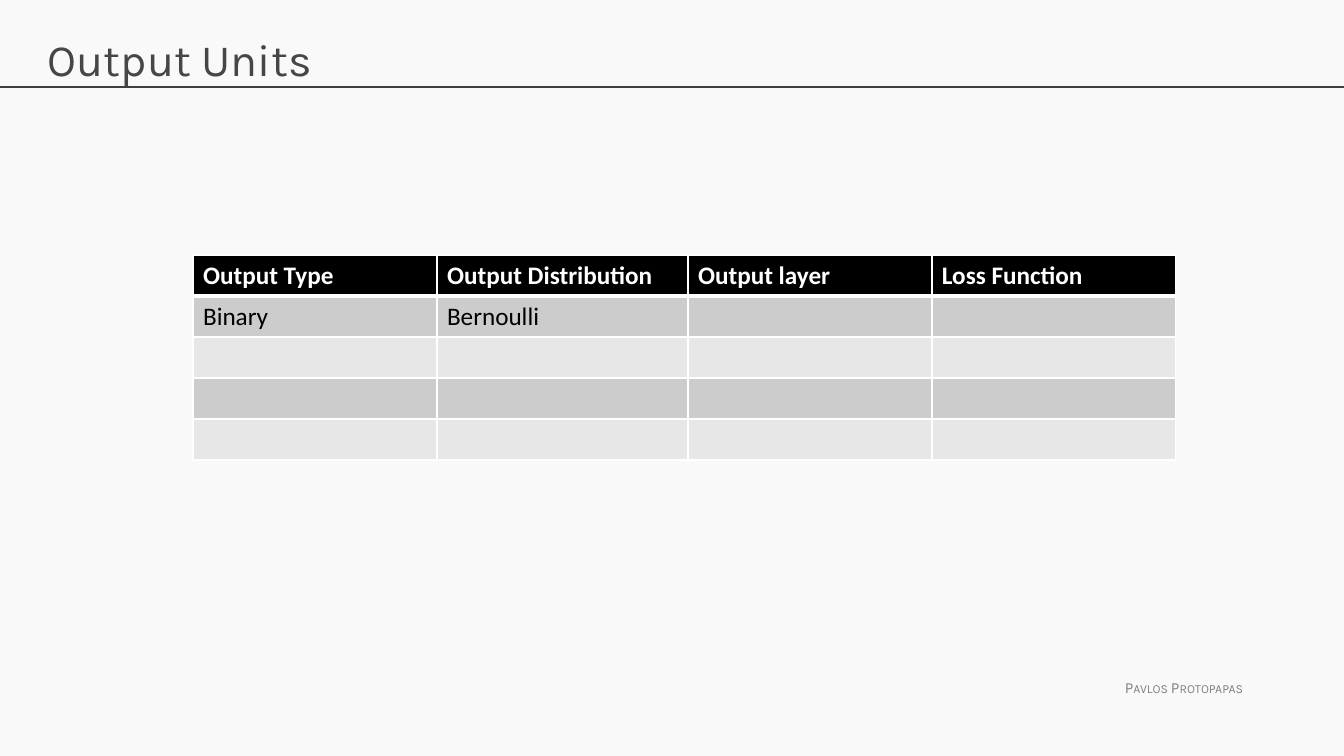
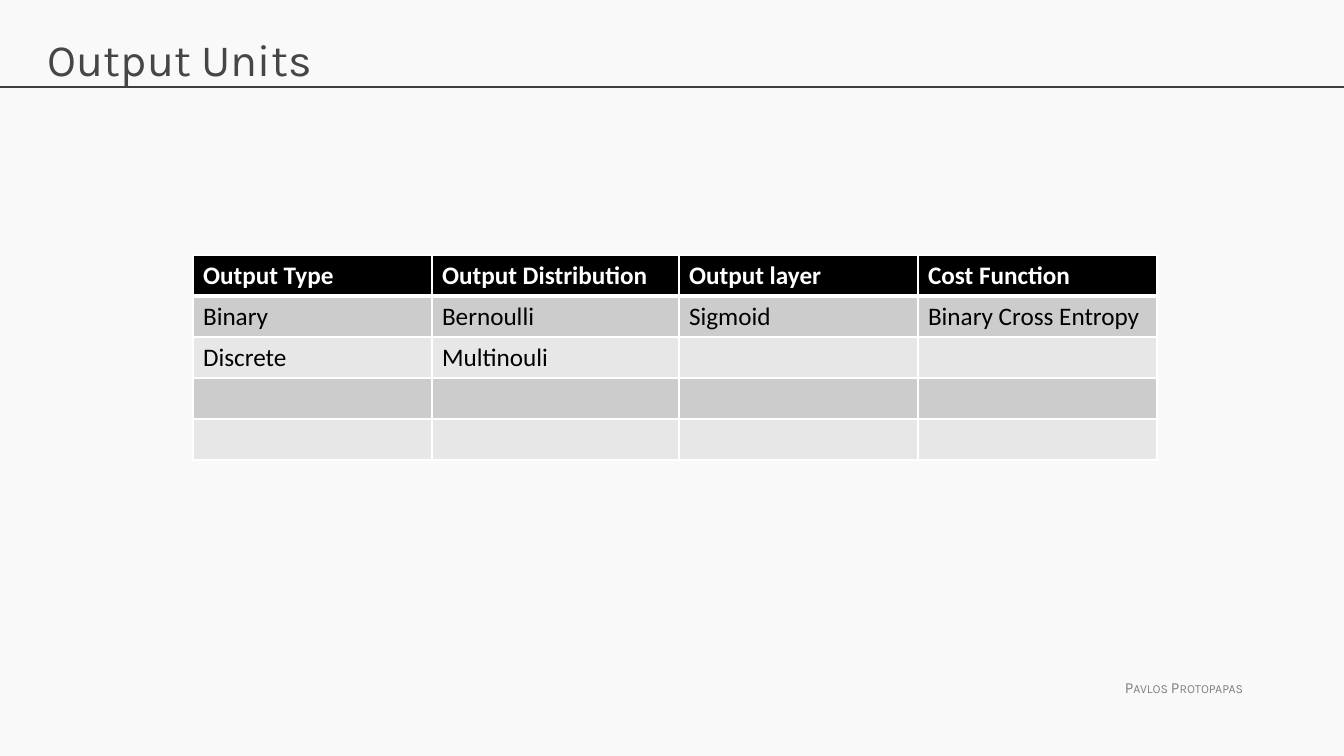
"""Build two slides on output units, each with a table of output types."""
import dataclasses

import lxml.etree
import pptx
import pptx.dml.color
import pptx.enum.shapes
import pptx.enum.text
import pptx.oxml.ns
import pptx.util


@dataclasses.dataclass(frozen=True)
class Theme:
    background: str = "F9F9F9"
    rule: str = "404040"
    title: str = "464646"
    footer: str = "808080"
    header_fill: str = "000000"
    band_fills: tuple = ("E7E7E7", "CCCCCC")
    header_text: str = "FFFFFF"
    cell_text: str = "000000"
    border: str = "FFFFFF"
    heading_font: str = "Karla"
    table_font: str = "Calibri"
    title_size: int = 32
    table_size: int = 18
    footer_size: int = 11


THEME = Theme()
EMU_PER_PX = 914400 / 100.8
SLIDE_WIDTH, SLIDE_HEIGHT = 1344, 756
RULE_Y = 87
TABLE_LEFT, TABLE_TOP = 193, 255
ROW_HEIGHT, ROW_COUNT = 41, 5

TABLES = [
    ((244, 251, 244, 244), [
        ("Output Type", "Output Distribution", "Output layer", "Loss Function"),
        ("Binary", "Bernoulli"),
    ]),
    ((239, 247, 239, 239), [
        ("Output Type", "Output Distribution", "Output layer", "Cost Function"),
        ("Binary", "Bernoulli", "Sigmoid", "Binary Cross Entropy"),
        ("Discrete", "Multinouli"),
    ]),
]


def px(*lengths):
    return [pptx.util.Emu(round(length * EMU_PER_PX)) for length in lengths]


def style(para, name, size, color, bold=False):
    para.font.name = name
    para.font.size = pptx.util.Pt(size)
    para.font.bold = bold
    para.font.color.rgb = pptx.dml.color.RGBColor.from_string(color)


qn = pptx.oxml.ns.qn
deck = pptx.Presentation()
deck.slide_width, deck.slide_height = px(SLIDE_WIDTH, SLIDE_HEIGHT)

for widths, rows in TABLES:
    page = deck.slides.add_slide(deck.slide_layouts[6])
    page.background.fill.solid()
    page.background.fill.fore_color.rgb = pptx.dml.color.RGBColor.from_string(THEME.background)

    rule = page.shapes.add_connector(
        pptx.enum.shapes.MSO_CONNECTOR.STRAIGHT, *px(0, RULE_Y, SLIDE_WIDTH, RULE_Y))
    rule.line.color.rgb = pptx.dml.color.RGBColor.from_string(THEME.rule)
    rule.line.width = pptx.util.Pt(0.75)
    lxml.etree.SubElement(rule._element.spPr, qn("a:effectLst"))

    footer = page.shapes.add_textbox(*px(1115, 673, 142, 29)).text_frame
    footer.word_wrap = False
    footer.auto_size = pptx.enum.text.MSO_AUTO_SIZE.SHAPE_TO_FIT_TEXT
    span = footer.paragraphs[0].add_run()
    span.text = "Pavlos Protopapas"
    span._r.get_or_add_rPr().set("cap", "small")
    style(footer.paragraphs[0], THEME.heading_font, THEME.footer_size, THEME.footer)

    title = page.shapes.add_textbox(*px(38, 24, 1267, 85)).text_frame
    title.word_wrap = True
    title.margin_top = px(8)[0]
    title.text = "Output Units"
    style(title.paragraphs[0], THEME.heading_font, THEME.title_size, THEME.title)

    table = page.shapes.add_table(
        ROW_COUNT, len(widths),
        *px(TABLE_LEFT, TABLE_TOP, sum(widths), ROW_HEIGHT * ROW_COUNT)).table
    for column, width in zip(table.columns, px(*widths)):
        column.width = width
    for row_index, row in enumerate(table.rows):
        row.height = px(ROW_HEIGHT)[0]
        is_header = row_index == 0
        words = rows[row_index] if row_index < len(rows) else ()
        fill = THEME.header_fill if is_header else THEME.band_fills[row_index % 2]
        color = THEME.header_text if is_header else THEME.cell_text
        border_points = {"L": 1, "R": 1, "T": 3 if row_index == 1 else 1, "B": 3 if is_header else 1}
        for column_index, cell in enumerate(row.cells):
            properties = cell._tc.get_or_add_tcPr()
            for side, points in border_points.items():
                border = lxml.etree.SubElement(
                    properties, qn(f"a:ln{side}"), w=str(pptx.util.Pt(points)))
                paint = lxml.etree.SubElement(border, qn("a:solidFill"))
                lxml.etree.SubElement(paint, qn("a:srgbClr"), val=THEME.border)
            cell.fill.solid()
            cell.fill.fore_color.rgb = pptx.dml.color.RGBColor.from_string(fill)
            if column_index < len(words):
                cell.text = words[column_index]
            style(cell.text_frame.paragraphs[0], THEME.table_font, THEME.table_size, color, is_header)

deck.save("out.pptx")
